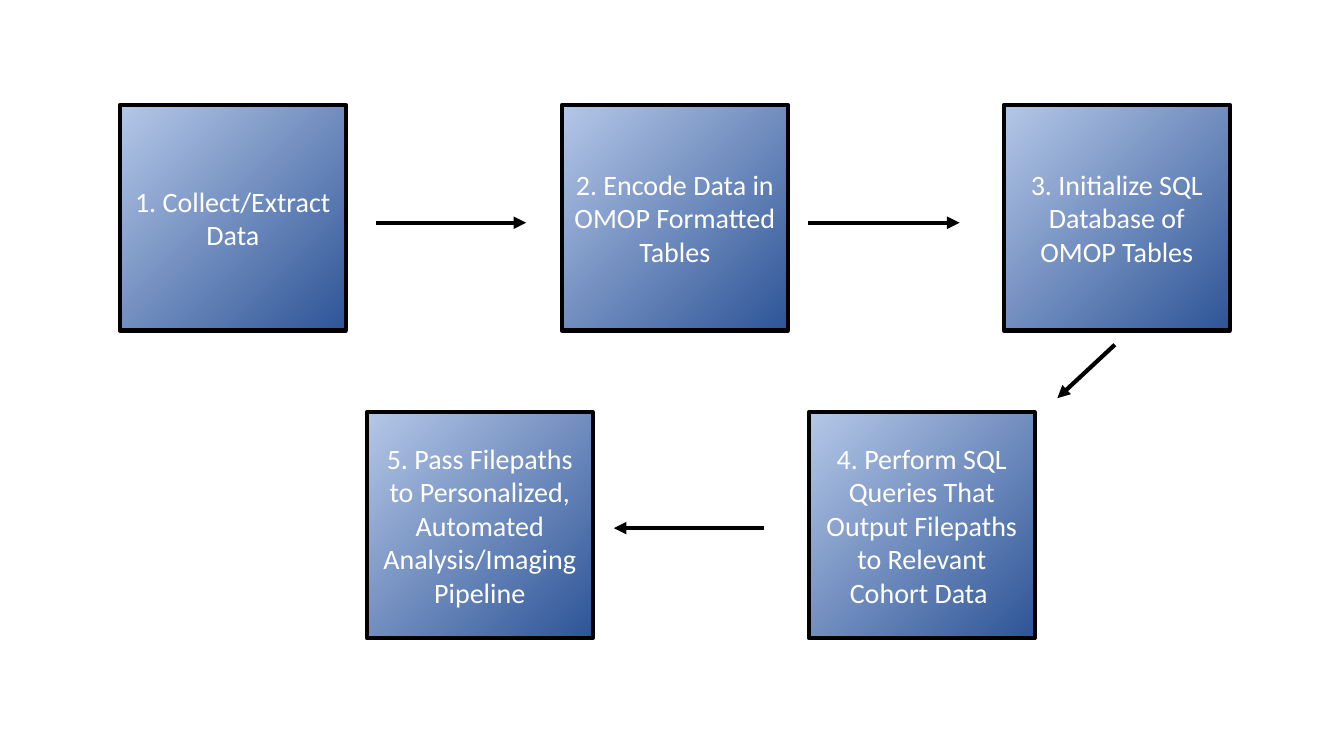
from dataclasses import dataclass

from lxml import etree
from pptx import Presentation
from pptx.dml.color import RGBColor
from pptx.enum.shapes import MSO_CONNECTOR, MSO_SHAPE
from pptx.enum.text import MSO_ANCHOR, PP_ALIGN
from pptx.oxml.ns import qn
from pptx.util import Inches, Length, Pt

RECT = MSO_SHAPE.RECTANGLE
LINE = MSO_CONNECTOR.STRAIGHT
MIDDLE = MSO_ANCHOR.MIDDLE
CENTER = PP_ALIGN.CENTER


@dataclass(frozen=True)
class Theme:
    font: str = "Calibri"
    size: int = 20
    text: str = "FFFFFF"
    light: str = "B4C7E7"
    dark: str = "2F5597"
    line: str = "000000"
    width: int = 3
    angle: int = 315


@dataclass(frozen=True)
class Step:
    col: float
    row: float
    text: str


@dataclass(frozen=True)
class Arrow:
    x1: float
    y1: float
    x2: float
    y2: float


THEME = Theme()

# Fine grid: ten columns and ten rows to the inch
COLS, ROWS = 133.33, 75
SIDE = 22.4
LEFT, TOP = 11.9, 10.4
PITCH, DROP = 43.85, 30.5
SHIFT = 24.5  # second row sits this far to the right
MID, LOW = 22.1, 52.4  # heights of the level arrows

STEPS = [
    Step(LEFT, TOP, "1. Collect/Extract Data"),
    Step(LEFT + PITCH, TOP, "2. Encode Data in OMOP Formatted Tables"),
    Step(LEFT + 2 * PITCH, TOP, "3. Initialize SQL Database of OMOP Tables"),
    Step(LEFT + SHIFT + PITCH, TOP + DROP,
         "4. Perform SQL Queries That Output Filepaths to Relevant Cohort Data "),
    Step(LEFT + SHIFT, TOP + DROP,
         "5. Pass Filepaths to Personalized, Automated Analysis/Imaging Pipeline"),
]

ARROWS = [
    Arrow(37.3, MID, 52.2, MID),
    Arrow(80.2, MID, 95.2, MID),
    Arrow(110.6, 34.2, 104.9, 39.5),
    Arrow(75.8, LOW, 60.9, LOW),
]


def unit(cells: float) -> Length:
    return Inches(cells / 10)


def color(code: str) -> RGBColor:
    return RGBColor.from_string(code)


def write(frame, text: str, *, size: int = THEME.size, font: str = THEME.font,
          fill: str = THEME.text, align=CENTER, anchor=MIDDLE) -> None:
    frame.word_wrap = True
    frame.vertical_anchor = anchor
    para = frame.paragraphs[0]
    para.alignment = align
    run = para.add_run()
    run.text = text
    run.font.size = Pt(size)
    run.font.name = font
    run.font.color.rgb = color(fill)


def stroke(line) -> None:
    line.color.rgb = color(THEME.line)
    line.width = Pt(THEME.width)


def draw_step(slide, step: Step) -> None:
    box = slide.shapes.add_shape(
        RECT, unit(step.col), unit(step.row), unit(SIDE), unit(SIDE))
    box.shadow.inherit = False
    box.fill.gradient()
    box.fill.gradient_angle = THEME.angle
    for stop, code in zip(box.fill.gradient_stops, (THEME.light, THEME.dark)):
        stop.color.rgb = color(code)
    stroke(box.line)
    write(box.text_frame, step.text)


def draw_arrow(slide, arrow: Arrow) -> None:
    link = slide.shapes.add_connector(
        LINE, unit(arrow.x1), unit(arrow.y1), unit(arrow.x2), unit(arrow.y2))
    stroke(link.line)
    # Arrowhead at the end, and no shadow
    props = link.line._get_or_add_ln()
    etree.SubElement(props, qn("a:tailEnd"), type="triangle")
    etree.SubElement(link._element.spPr, qn("a:effectLst"))


def main() -> None:
    deck = Presentation()
    deck.slide_width = unit(COLS)
    deck.slide_height = unit(ROWS)
    slide = deck.slides.add_slide(deck.slide_layouts[6])
    # Boxes first, then the arrows between them
    for step in STEPS:
        draw_step(slide, step)
    for arrow in ARROWS:
        draw_arrow(slide, arrow)
    deck.save("out.pptx")


if __name__ == "__main__":
    main()
